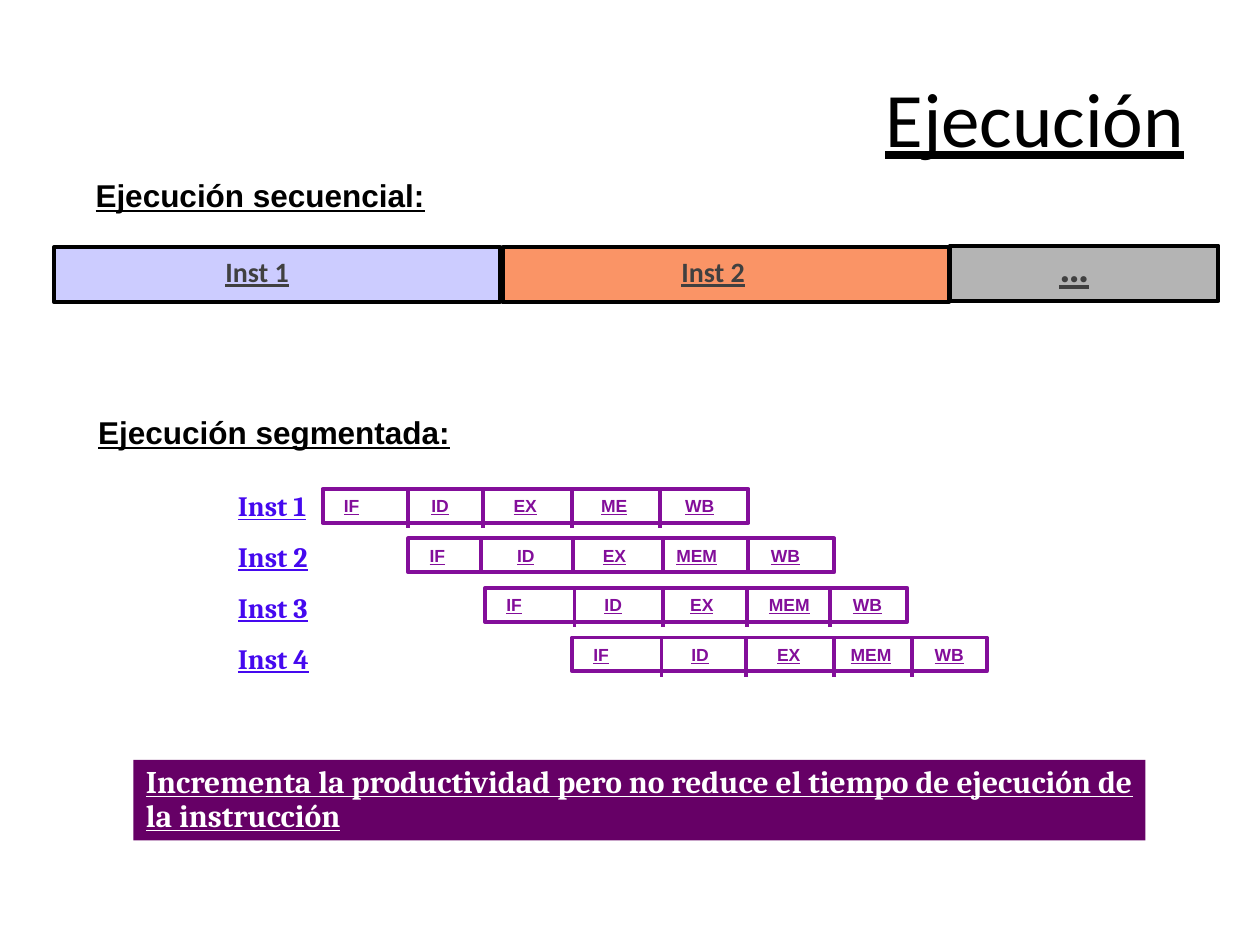
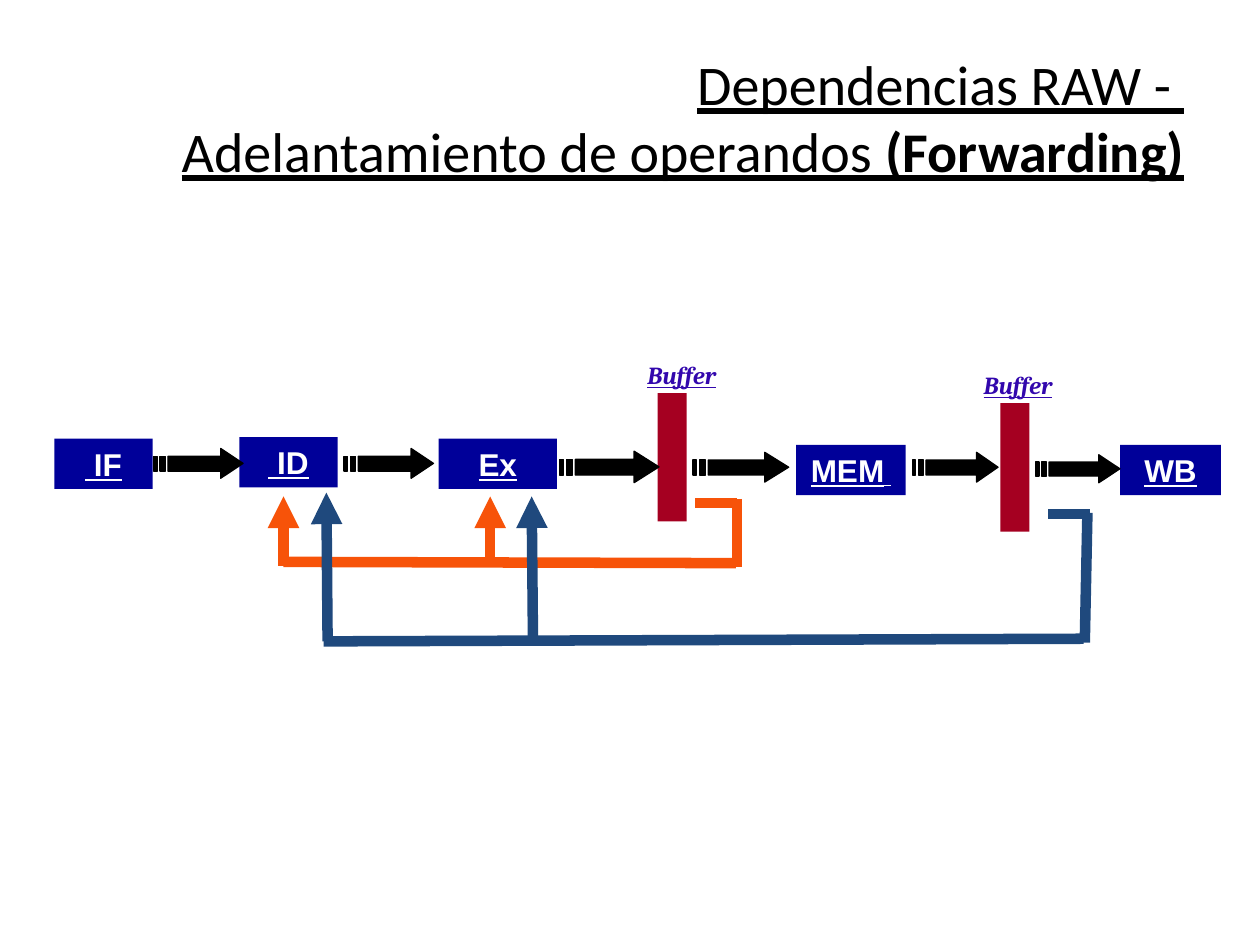
"""Build two slides on pipelined execution and operand forwarding."""
from dataclasses import dataclass
from typing import NamedTuple

from pptx import Presentation
from pptx.dml.color import RGBColor as Rgb
from pptx.enum.shapes import MSO_CONNECTOR as Link, MSO_SHAPE as Kind
from pptx.enum.text import MSO_ANCHOR as Anchor, MSO_AUTO_SIZE as Fit, PP_ALIGN as Align
from pptx.oxml.ns import qn
from pptx.oxml.xmlchemy import OxmlElement as Node
from pptx.util import Pt

HUES = {
    "black": "000000", "white": "FFFFFF", "lilac": "CCCCFF", "peach": "FA9466",
    "gray": "B4B4B4", "dark": "404040", "blue": "4509EF", "plum": "660066",
    "purple": "830E9A", "navy": "000099", "red": "A50021", "indigo": "3207AD",
    "orange": "F75309", "steel": "1F497D",
}
BODY = {"font": "Arial", "size": 18, "bold": True}
GRAY = {"font": "Calibri", "size": 16, "bold": True, "hue": "dark"}
INST = {"font": "Cambria", "size": 16, "bold": True, "hue": "blue", "wrap": False}
STAGE = {**BODY, "hue": "white", "align": Align.CENTER}
BUFFER = {"font": "Cambria", "size": 14, "bold": True, "slant": True,
          "hue": "indigo", "wrap": False}


class Box(NamedTuple):
    left: float
    top: float
    wide: float
    high: float


class Wire(NamedTuple):
    x1: float
    y1: float
    x2: float
    y2: float
    head: bool = False


class Run(NamedTuple):
    text: str
    bold: bool = False
    size: float = 0


@dataclass
class Label:
    text: str
    box: Box
    style: dict


@dataclass
class Tile:
    box: Box
    fill: str
    edge: str = ""
    text: str | list[Run] = ""


@dataclass
class Row:
    left: float
    wide: float
    words: str
    stops: tuple
    cuts: tuple
    drop: float = 21.6


BARS = [
    Tile(Box(31, 141.1, 254.9, 31.7), "lilac", "black"),
    Tile(Box(287.3, 141.1, 254.9, 31.7), "peach", "black"),
    Tile(Box(542.9, 140.4, 153.4, 31.7), "gray", "black"),
]
LABELS = [
    Label("Inst 1", Box(121.7, 141.8, 85, 26.6), GRAY),
    Label("Inst 2", Box(382.3, 141.8, 85, 26.6), GRAY),
    Label("…", Box(598.3, 133.9, 31.7, 36), {**GRAY, "size": 24}),
    Label("Ejecución secuencial:", Box(47.5, 97.2, 202.3, 28.8), {**BODY, "wrap": False}),
    Label("Ejecución segmentada:", Box(49, 232.6, 215.3, 28.8), {**BODY, "wrap": False}),
]
ROWS = [
    Row(184.3, 243.4, "IF ID EX ME WB", (50, 97, 147, 195),
        (233.3, 275.8, 326.9, 377.3)),
    Row(233.3, 243.4, "IF ID EX MEM WB", (50, 99, 141, 195),
        (275, 327.6, 378.7, 427.7), 18),
    Row(277.2, 241.2, "IF ID EX MEM WB", (56, 105, 150, 198),
        (328.3, 378.7, 427, 474.5)),
    Row(326.9, 236.9, "IF ID EX MEM WB", (56, 105, 147, 195),
        (378, 426.2, 476.6, 521.3)),
]
STAGES = [
    Tile(Box(31, 250.6, 56.2, 28.8), "navy", text=" IF"),
    Tile(Box(136.8, 249.8, 56.2, 28.8), "navy", text=" ID"),
    Tile(Box(250.6, 250.6, 67.7, 28.8), "navy", text="Ex"),
    Tile(Box(455, 254.2, 62.6, 28.8), "navy",
         text=[Run("MEM", True), Run(" ", True, 14)]),
    Tile(Box(640.1, 254.2, 57.6, 28.8), "navy", text="WB"),
    Tile(Box(375.8, 224.6, 16.6, 73.4), "red"),
    Tile(Box(571.7, 230.4, 16.6, 73.4), "red"),
]
BUFFERS = [
    Label("Buffer", Box(362.9, 202.3, 53.3, 24.5), BUFFER),
    Label("Buffer", Box(555.1, 208.1, 53.3, 24.5), {**BUFFER, "align": Align.CENTER}),
]
ARROWS = [
    Box(87.8, 256.3, 51.1, 17), Box(196.6, 256.3, 51.1, 17),
    Box(319.7, 257.8, 56.9, 18), Box(396, 258.5, 54.7, 17),
    Box(521.3, 258.5, 49, 17), Box(591.8, 259.9, 48.2, 16),
]
WIRES = {
    "orange": [
        Wire(397.4, 287.3, 421.2, 287.3), Wire(421.2, 285.1, 421.2, 324),
        Wire(162, 321.1, 420.5, 321.8), Wire(280.1, 283.7, 280.1, 323.3, True),
        Wire(162, 283.7, 162, 323.3, True),
    ],
    "steel": [
        Wire(599, 293.8, 622.8, 293.8), Wire(621.4, 293, 619.9, 367.2),
        Wire(185, 366.5, 619.2, 365), Wire(303.8, 283.7, 304.6, 368.6, True),
        Wire(186.5, 281.5, 187.2, 366.5, True),
    ],
}


def tint(name: str) -> Rgb:
    """Return the named colour."""
    return Rgb.from_string(HUES[name])


def place(box: Box) -> list:
    """Return the four lengths of a box."""
    return [Pt(n) for n in box]


def write(frame, text: str | list[Run], *, font: str, size: float, hue: str = "black",
          bold: bool = False, slant: bool = False, align=Align.LEFT, wrap: bool = True,
          anchor=Anchor.TOP, inset: float = 7.2, lead: float = 0, before: float = 0,
          stops: tuple = ()) -> None:
    """Fill a text frame with one underlined paragraph."""
    frame.auto_size, frame.word_wrap = Fit.NONE, wrap
    frame.vertical_anchor = anchor
    frame.margin_left, frame.margin_right = Pt(inset), Pt(7.2)
    frame.margin_top = frame.margin_bottom = Pt(3.6)
    para = frame.paragraphs[0]
    para.alignment = align
    if lead:
        para.line_spacing = lead
    if before:
        para.space_before = Pt(before)
    if stops:
        tabs = Node("a:tabLst")
        for stop in stops:
            tab = Node("a:tab")
            tab.set("pos", str(Pt(stop)))
            tab.set("algn", "l")
            tabs.append(tab)
        para._p.get_or_add_pPr().append(tabs)
    for part in [Run(text, bold)] if isinstance(text, str) else text:
        for i, line in enumerate(part.text.split("\n")):
            if i:
                para.add_line_break()
            run = para.add_run()
            run.text = line
            face = run.font
            face.name, face.size = font, Pt(part.size or size)
            face.bold, face.italic, face.underline = part.bold, slant, True
            face.color.rgb = tint(hue)


def paint(shape, fill: str = "", edge: str = "", width: float = 2.25) -> None:
    """Set fill and outline and drop the shadow."""
    shape.shadow.inherit = False
    if fill:
        shape.fill.solid()
        shape.fill.fore_color.rgb = tint(fill)
    else:
        shape.fill.background()
    if edge:
        shape.line.color.rgb = tint(edge)
        shape.line.width = Pt(width)
    else:
        shape.line.fill.background()


def block(slide, box: Box, fill: str = "", edge: str = ""):
    """Draw a rectangle."""
    shape = slide.shapes.add_shape(Kind.RECTANGLE, *place(box))
    paint(shape, fill, edge)
    return shape


def tile(slide, item: Tile) -> None:
    """Draw a filled rectangle with its stage name."""
    shape = block(slide, item.box, item.fill, item.edge)
    if item.text:
        write(shape.text_frame, item.text, **STAGE)


def label(slide, item: Label) -> None:
    """Draw a text box."""
    box = slide.shapes.add_textbox(*place(item.box))
    write(box.text_frame, item.text, **item.style)


def wire(slide, item: Wire, hue: str, width: float) -> None:
    """Draw a line, with an arrowhead at its start if asked."""
    line = slide.shapes.add_connector(Link.STRAIGHT, *[Pt(n) for n in item[:4]])
    line.line.color.rgb = tint(hue)
    line.line.width = Pt(width)
    if item.head:
        tip = Node("a:headEnd")
        tip.set("type", "triangle")
        line.line._ln.append(tip)
    line._element.find(qn("p:spPr")).append(Node("a:effectLst"))


def arrow(slide, box: Box) -> None:
    """Draw a striped arrow pointing right."""
    def spot(x: float, y: float) -> tuple:
        """Map a fraction of the box to the slide."""
        return Pt(box.left + x * box.wide), Pt(box.top + y * box.high)

    low, high = 0.26, 0.76
    head = [(0.75, 0), (0.75, low), (0.16, low), (0.16, high),
            (0.75, high), (0.75, 1), (1, 0.5)]
    bars = [[(a, low), (a, high), (b, high), (b, low)] for a, b in ((0.07, 0.13), (0, 0.04))]
    pen = slide.shapes.build_freeform(*spot(*head[0]))
    pen.add_line_segments([spot(*p) for p in head[1:]])
    for bar in bars:
        pen.move_to(*spot(*bar[0]))
        pen.add_line_segments([spot(*p) for p in bar[1:]])
    paint(pen.convert_to_shape(), "black", "black", 0.75)


def start(deck, text: str | list[Run], size: float):
    """Add a slide with its title."""
    slide = deck.slides.add_slide(deck.slide_layouts[5])
    title = slide.shapes.title
    title.left, title.top, title.width, title.height = place(Box(36, 21.6, 648, 90))
    write(title.text_frame, text, font="Calibri", size=size,
          align=Align.RIGHT, anchor=Anchor.MIDDLE)
    return slide


def lane(slide, index: int, row: Row) -> None:
    """Draw one instruction with its five stages."""
    top = 279.4 + 28.3 * index
    label(slide, Label(f"Inst {index + 1}", Box(128.9, 275.6 + 29.1 * index, 54, 26.6), INST))
    shape = block(slide, Box(row.left, top, row.wide, 19.4), edge="purple")
    write(shape.text_frame, "\t".join(row.words.split()), font="Arial", size=10,
          bold=True, hue="purple", inset=12.2, stops=row.stops)
    for x in row.cuts:
        wire(slide, Wire(x, top + 0.8, x, top + 0.8 + row.drop), "purple", 2.25)


def timing(deck) -> None:
    """Build the slide on sequential and pipelined execution."""
    slide = start(deck, "Ejecución", 44)
    for item in BARS:
        tile(slide, item)
    for item in LABELS:
        label(slide, item)
    for index, row in enumerate(ROWS):
        lane(slide, index, row)
    note = block(slide, Box(76.3, 434.2, 578.2, 46.1), "plum")
    write(note.text_frame,
          "Incrementa la productividad pero no reduce el tiempo de ejecución de la instrucción",
          font="Cambria", size=18, bold=True, hue="white", lead=0.9, before=4.5)


def forward(deck) -> None:
    """Build the slide on operand forwarding."""
    slide = start(deck, [Run("Dependencias RAW - \nAdelantamiento de operandos"),
                         Run(" (Forwarding)", True)], 32)
    for item in STAGES:
        tile(slide, item)
    for item in BUFFERS:
        label(slide, item)
    for box in ARROWS:
        arrow(slide, box)
    for hue, wires in WIRES.items():
        for item in wires:
            wire(slide, item, hue, 6)


def main() -> None:
    """Build and save the deck."""
    deck = Presentation()
    deck.slide_width, deck.slide_height = Pt(720), Pt(540)
    timing(deck)
    forward(deck)
    deck.save("out.pptx")


if __name__ == "__main__":
    main()
